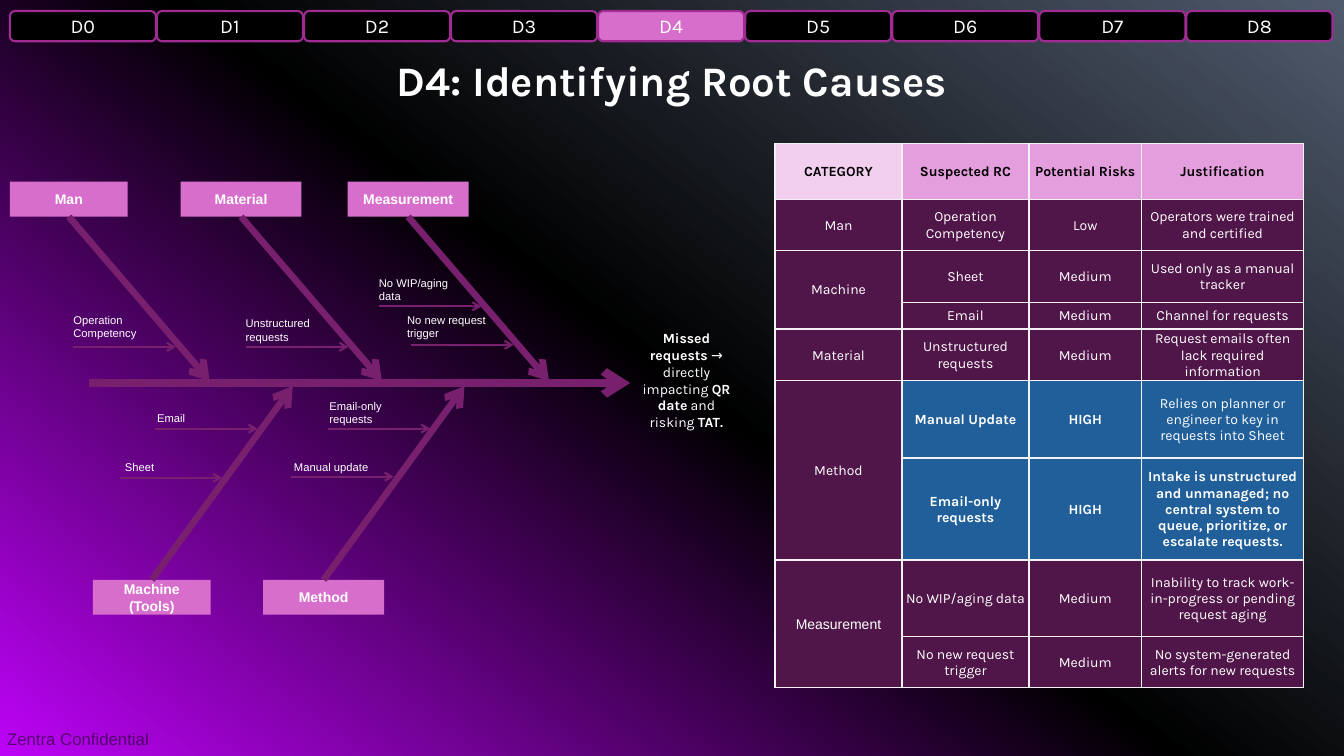
"""Build the D4 root cause slide with a fishbone diagram and a risk table."""
from copy import deepcopy
from dataclasses import dataclass

from lxml import etree
from pptx import Presentation
from pptx.dml.color import RGBColor
from pptx.enum.shapes import MSO_CONNECTOR, MSO_SHAPE
from pptx.enum.text import MSO_ANCHOR, PP_ALIGN
from pptx.oxml.ns import qn
from pptx.util import Cm, Pt

STRAIGHT = MSO_CONNECTOR.STRAIGHT
RECTANGLE, ROUNDED = MSO_SHAPE.RECTANGLE, MSO_SHAPE.ROUNDED_RECTANGLE
TOP, MIDDLE, BOTTOM = MSO_ANCHOR.TOP, MSO_ANCHOR.MIDDLE, MSO_ANCHOR.BOTTOM
LEFT, CENTER = PP_ALIGN.LEFT, PP_ALIGN.CENTER
TOP_SIDE, BOTTOM_SIDE = 0, 2


@dataclass(frozen=True)
class Theme:
    """Colours, fonts and type sizes of the slide."""
    heading_font: str = "Karla"
    label_font: str = "Arial"
    background: tuple = ((0, "BD03F7"), (0.5, "000000"), (1, "4F5A6C"))
    black: str = "000000"
    white: str = "FFFFFF"
    pink: str = "D86ECC"
    outline: str = "A02B93"
    arrow: str = "78206E"
    header: str = "E59EDD"
    header_first: str = "F2CFEE"
    body: str = "501649"
    high_risk: str = "215F9A"
    border: str = "F2F2F2"
    title_size: float = 30
    tab_size: float = 14
    footer_size: float = 12
    text_size: float = 10
    cause_size: float = 8


THEME = Theme()

TABS = [f"D{number}" for number in range(9)]
CURRENT_TAB = "D4"

SPINE_Y = 9.65
BONE_RUN = 3.55
UPPER_BONES = (4.58, BOTTOM_SIDE, 9.6,
               [("Man", 0.25, 2.97), ("Material", 4.55, 3.05), ("Measurement", 8.76, 3.05)])
LOWER_BONES = (14.61, TOP_SIDE, 9.73,
               [("Machine (Tools)", 2.34, 2.97), ("Method", 6.63, 3.05)])

CAUSE_ARROW_LENGTH = 2.58
CAUSES = [
    ("Operation Competency", (1.85, 8.74), (1.6, 7.77, 2.21, 0.86)),
    ("Unstructured requests", (6.2, 8.74), (5.94, 7.85, 2.18, 0.97)),
    ("No WIP/aging data", (9.55, 7.72), (9.3, 6.83, 2.29, 0.99)),
    ("No new request trigger", (10.36, 8.69), (10.01, 7.77, 2.51, 0.97)),
    ("Email", (3.91, 10.8), (3.71, 10.24, 2.08, 0.46)),
    ("Sheet", (3.02, 12.04), (2.9, 11.48, 2.06, 0.46)),
    ("Email-only requests", (8.26, 10.8), (8.05, 9.93, 2.44, 1.14)),
    ("Manual update", (7.34, 12.01), (7.16, 11.48, 2.46, 0.56)),
]

EFFECT = [("Missed requests ", True), ("→ directly impacting ", False), ("QR date", True),
          (" and risking ", False), ("TAT.", True)]

COLUMN_WIDTHS = [3.2, 3.2, 2.84, 4.08]
ROW_HEIGHTS = [1.41, 1.29, 1.31, 0.67, 1.29, 1.95, 2.57, 1.93, 1.29]
RISKS = [
    ("CATEGORY", "Suspected RC", "Potential Risks", "Justification"),
    ("Man", "Operation Competency", "Low", "Operators were trained and certified"),
    ("Machine", "Sheet", "Medium", "Used only as a manual tracker"),
    ("", "Email", "Medium", "Channel for requests"),
    ("Material", "Unstructured requests", "Medium",
     "Request emails often lack required information"),
    ("Method", "Manual Update", "HIGH",
     "Relies on planner or engineer to key in requests into Sheet"),
    ("", "Email-only requests", "HIGH",
     "Intake is unstructured and unmanaged; no central system to queue, "
     "prioritize, or escalate requests."),
    ("Measurement", "No WIP/aging data", "Medium",
     "Inability to track work-in-progress or pending request aging"),
    ("", "No new request trigger", "Medium", "No system-generated alerts for new requests"),
]
HIGH_RISK_ROWS = (5, 6)
REGULAR_HIGH_RISK_CELL = (5, 3)


def rgb(color):
    """Return the colour object for a hex string."""
    return RGBColor.from_string(color)


def style_run(run, size, font, color=THEME.white, bold=False):
    """Set the font of one run."""
    run.font.size, run.font.name, run.font.bold = Pt(size), font, bold
    run.font.color.rgb = rgb(color)


def write(text_frame, text, size, font, bold=False, align=CENTER, anchor=MIDDLE):
    """Put one styled paragraph in a text frame and return it."""
    text_frame.word_wrap = True
    text_frame.vertical_anchor = anchor
    text_frame.text = text
    paragraph = text_frame.paragraphs[0]
    paragraph.alignment = align
    for run in paragraph.runs:
        style_run(run, size, font, bold=bold)
    return paragraph


def add_text(slide, box, text, size, font, **options):
    """Add a text box at a box given in centimetres and return its paragraph."""
    shape = slide.shapes.add_textbox(*map(Cm, box))
    return write(shape.text_frame, text, size, font, **options)


def add_box(slide, kind, box, fill, text, size, font, outline=None, bold=False):
    """Add a filled shape with centred text."""
    shape = slide.shapes.add_shape(kind, *map(Cm, box))
    shape.shadow.inherit = False
    shape.fill.solid()
    shape.fill.fore_color.rgb = rgb(fill)
    if outline:
        shape.line.color.rgb = rgb(outline)
        shape.line.width = Pt(1.5)
    else:
        shape.line.fill.background()
    write(shape.text_frame, text, size, font, bold)
    return shape


def add_arrow(slide, start, end, width):
    """Add a straight arrow between two points in centimetres."""
    connector = slide.shapes.add_connector(STRAIGHT, *map(Cm, start + end))
    connector.line.color.rgb = rgb(THEME.arrow)
    connector.line.width = Pt(width)
    etree.SubElement(connector.get_or_add_ln(), qn("a:tailEnd"), type="arrow")
    etree.SubElement(connector.element.spPr, qn("a:effectLst"))
    return connector


def set_background(slide):
    """Fill the background with the three-colour gradient."""
    fill = slide.background.fill
    fill.gradient()
    fill.gradient_angle = 53
    stop_list = slide.element.find(".//" + qn("a:gsLst"))
    stop_list.append(deepcopy(stop_list[-1]))
    for stop, (position, color) in zip(fill.gradient_stops, THEME.background):
        stop.position = position
        stop.color.rgb = rgb(color)


def add_tabs(slide):
    """Add the row of step tabs with the current one lit."""
    for index, tab in enumerate(TABS):
        fill = THEME.pink if tab == CURRENT_TAB else THEME.black
        box = (0.25 + index * 29.65 / 8, 0.28, 3.68, 0.76)
        add_box(slide, ROUNDED, box, fill, tab, THEME.tab_size, THEME.heading_font, THEME.outline)


def add_bones(slide, box_top, side, tip_y, categories):
    """Add category boxes and the bones that run to the spine."""
    for name, left, width in categories:
        category = add_box(slide, RECTANGLE, (left, box_top, width, 0.88), THEME.pink, name,
                           THEME.text_size, THEME.label_font, bold=True)
        middle = left + width / 2
        bone = add_arrow(slide, (middle, box_top), (middle + BONE_RUN, tip_y), 4.75)
        bone.begin_connect(category, side)


def add_fishbone(slide):
    """Add the spine, bones, causes and effect."""
    add_arrow(slide, (2.24, SPINE_Y), (15.88, SPINE_Y), 6)
    for bones in (UPPER_BONES, LOWER_BONES):
        add_bones(slide, *bones)
    for cause, (left, top), box in CAUSES:
        add_arrow(slide, (left, top), (left + CAUSE_ARROW_LENGTH, top), 1.5)
        add_text(slide, box, cause, THEME.cause_size, THEME.label_font, align=LEFT, anchor=TOP)
    paragraph = add_text(slide, (15.8, 8.41, 3, 2.34), "", THEME.text_size, THEME.heading_font)
    for text, bold in EFFECT:
        run = paragraph.add_run()
        run.text = text
        style_run(run, THEME.text_size, THEME.heading_font, bold=bold)


def add_borders(cell):
    """Draw a thin line on all four sides of a cell."""
    properties = cell._tc.get_or_add_tcPr()
    for side in ("a:lnL", "a:lnR", "a:lnT", "a:lnB"):
        line = etree.SubElement(properties, qn(side), w=str(Pt(1)))
        fill = etree.SubElement(line, qn("a:solidFill"))
        etree.SubElement(fill, qn("a:srgbClr"), val=THEME.border)


def format_cell(cell, text, row, column):
    """Write and colour one table cell according to its place."""
    header = row == 0
    high_risk = row in HIGH_RISK_ROWS and column > 0
    bold = header or (high_risk and (row, column) != REGULAR_HIGH_RISK_CELL)
    font = THEME.label_font if text == "Measurement" else THEME.heading_font
    cell.margin_left = cell.margin_right = cell.margin_top = Cm(0.03)
    cell.margin_bottom = 0
    paragraph = write(cell.text_frame, text, THEME.text_size, font, bold)
    cell.vertical_anchor = MIDDLE
    if header:
        paragraph.runs[0].font.color.rgb = rgb(THEME.black)
        color = THEME.header if column else THEME.header_first
    else:
        paragraph.space_before = paragraph.space_after = Pt(6)
        color = THEME.high_risk if high_risk else THEME.body
    add_borders(cell)
    cell.fill.solid()
    cell.fill.fore_color.rgb = rgb(color)


def add_risk_table(slide):
    """Add the table of suspected root causes."""
    table = slide.shapes.add_table(
        len(RISKS), len(COLUMN_WIDTHS), Cm(19.53), Cm(3.61),
        Cm(sum(COLUMN_WIDTHS)), Cm(sum(ROW_HEIGHTS))).table
    table.first_row = table.horz_banding = False
    for column, width in zip(table.columns, COLUMN_WIDTHS):
        column.width = Cm(width)
    for row, (height, texts) in enumerate(zip(ROW_HEIGHTS, RISKS)):
        table.rows[row].height = Cm(height)
        for column, text in enumerate(texts):
            format_cell(table.cell(row, column), text, row, column)
        if not texts[0]:
            table.cell(row - 1, 0).merge(table.cell(row, 0))


def add_footer(slide):
    """Add the half-transparent confidentiality label."""
    paragraph = add_text(slide, (0.18, 18.36, 4.2, 0.51), "Zentra Confidential",
                         THEME.footer_size, THEME.label_font, align=LEFT, anchor=TOP)
    run = paragraph.runs[0]
    run.font.color.rgb = rgb(THEME.black)
    color = run.font._element.find(".//" + qn("a:srgbClr")) if hasattr(run.font, "_element") \
        else slide.shapes[-1].element.find(".//" + qn("a:srgbClr"))
    etree.SubElement(color, qn("a:alpha"), val="50000")
    frame = slide.shapes[-1].text_frame
    frame.margin_left = frame.margin_right = frame.margin_top = frame.margin_bottom = 0


def main():
    """Build and save the slide."""
    presentation = Presentation()
    presentation.slide_width, presentation.slide_height = Cm(33.87), Cm(19.05)
    slide = presentation.slides.add_slide(presentation.slide_layouts[6])
    set_background(slide)
    add_footer(slide)
    add_tabs(slide)
    title = add_text(slide, (0, 1.42, 33.87, 1.37), "D4: Identifying Root Causes",
                     THEME.title_size, THEME.heading_font, bold=True, anchor=BOTTOM)
    title.line_spacing = 0.9
    add_fishbone(slide)
    add_risk_table(slide)
    presentation.save("out.pptx")


if __name__ == "__main__":
    main()
